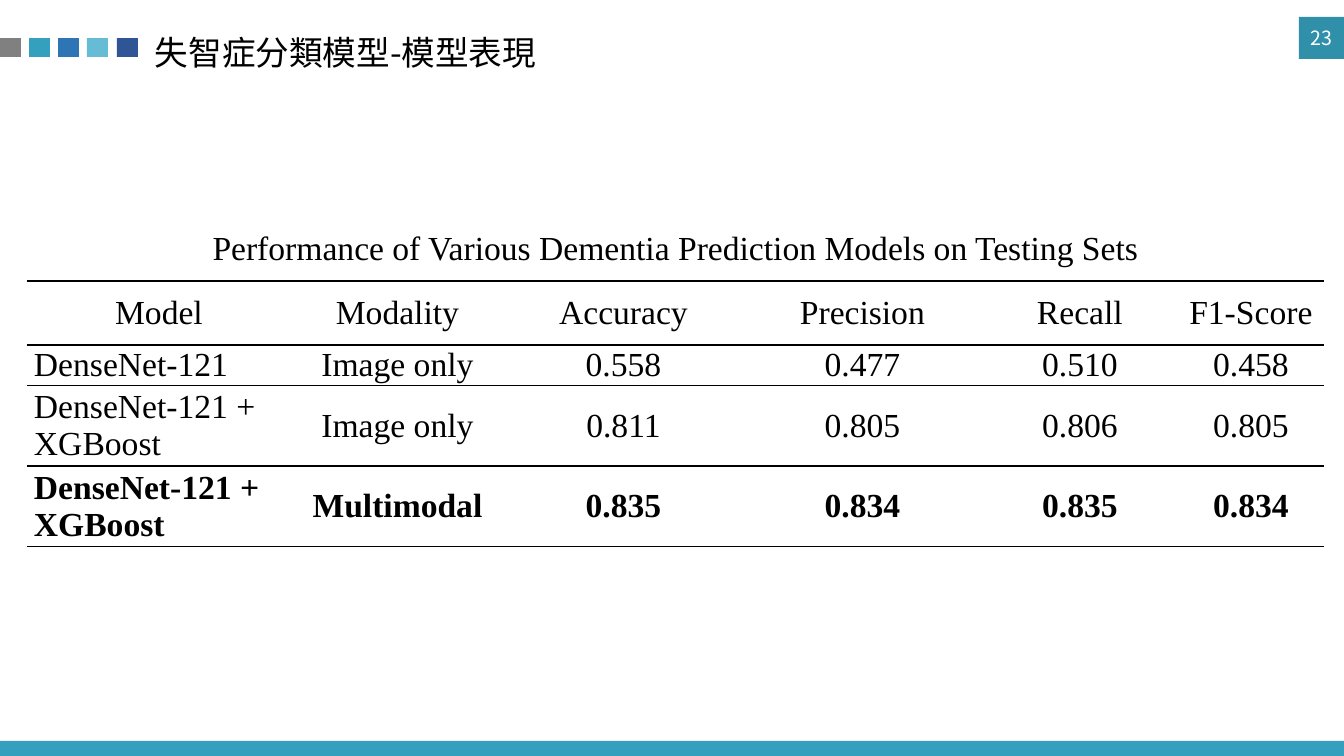
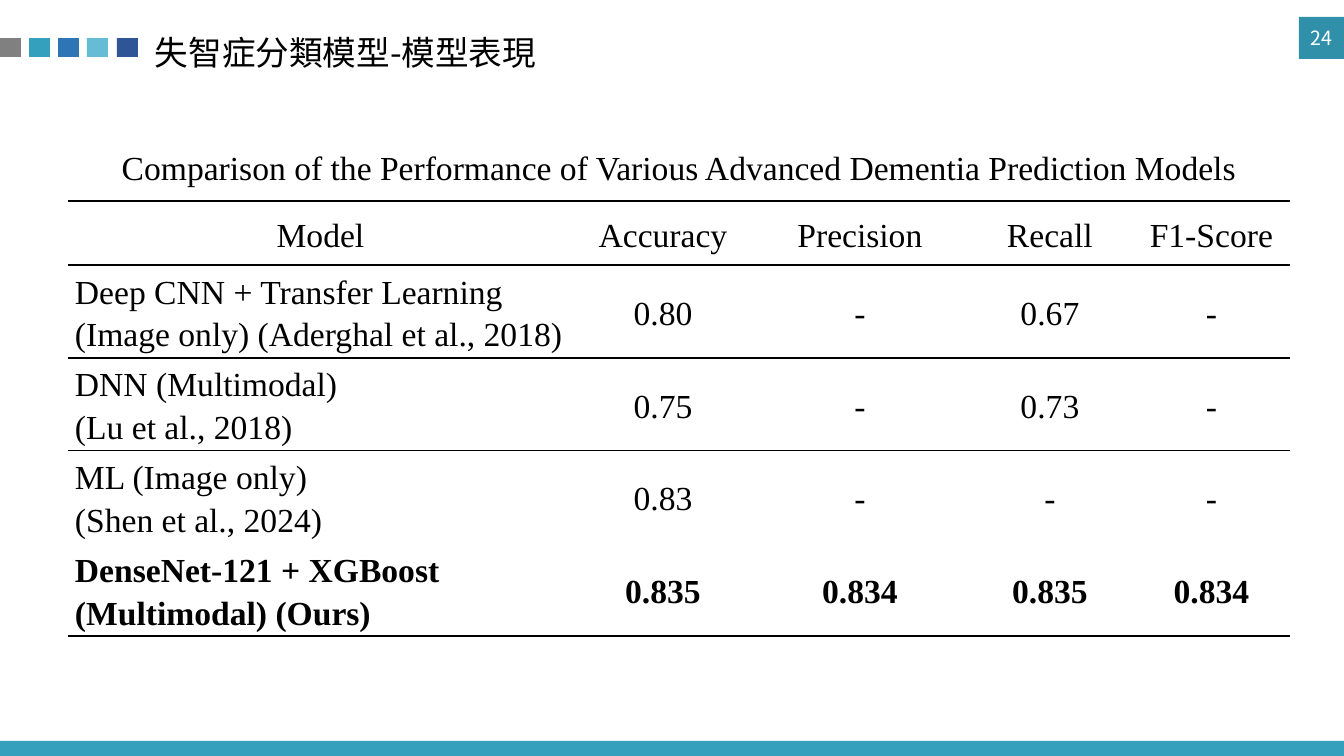
from lxml import etree
from pptx import Presentation, util as u
from pptx.dml.color import RGBColor
from pptx.enum import shapes, text
from pptx.oxml import ns

PX = 914400 / 100.8
SLIDE_W, SLIDE_H = 1344, 756

BLACK = RGBColor(0x00, 0x00, 0x00)
WHITE = RGBColor(0xFF, 0xFF, 0xFF)
GRAY = RGBColor(0x80, 0x80, 0x80)
TEAL = RGBColor(0x35, 0xA0, 0xBD)
DARK_TEAL = RGBColor(0x30, 0x90, 0xAA)
BLUE = RGBColor(0x2E, 0x75, 0xB6)
LIGHT_TEAL = RGBColor(0x66, 0xBC, 0xD4)
NAVY = RGBColor(0x2F, 0x55, 0x97)

SANS = "Noto Sans CJK SC"
SERIF = "Times New Roman"
PLAIN_TABLE_STYLE = "{2D5ABB26-0587-4C30-8999-92F81FD0307C}"

CENTER = text.PP_ALIGN.CENTER
LEFT = text.PP_ALIGN.LEFT
MIDDLE = text.MSO_ANCHOR.MIDDLE
TOP = text.MSO_ANCHOR.TOP


def emu(px):
    return u.Emu(round(px * PX))


class Deck:
    def __init__(self):
        self.prs = Presentation()
        self.prs.slide_width = emu(SLIDE_W)
        self.prs.slide_height = emu(SLIDE_H)
        self.slide = None

    def new_slide(self, title, number):
        """Start a slide with the shared band, squares, page tag and title."""
        self.slide = self.prs.slides.add_slide(self.prs.slide_layouts[6])
        self.block(0, 741, SLIDE_W, 15, TEAL)
        for i, color in enumerate((GRAY, TEAL, BLUE, LIGHT_TEAL, NAVY)):
            self.block(i * 117 // 4, 38, 21, 19, color)
        self.block(1299, 17, 45, 42, DARK_TEAL)
        self.label(1299, 28, 45, 27, number, 14, WHITE, u.Pt(12), CENTER, TOP)
        self.label(145, 17, 1145, 76, title, 24, BLACK, 0.9, LEFT, MIDDLE)

    def block(self, x, y, w, h, color):
        rect = self.slide.shapes.add_shape(
            shapes.MSO_SHAPE.RECTANGLE, emu(x), emu(y), emu(w), emu(h))
        rect.shadow.inherit = False
        rect.fill.solid()
        rect.fill.fore_color.rgb = color
        rect.line.fill.background()

    def label(self, x, y, w, h, words, size, color, spacing, align, anchor):
        frame = self.slide.shapes.add_textbox(
            emu(x), emu(y), emu(w), emu(h)).text_frame
        frame.word_wrap = True
        frame.vertical_anchor = anchor
        self.add_text(frame, words, SANS, size, color, spacing, align)

    def add_text(self, frame, words, font, size, color, spacing, align,
                 bold=False):
        """Fill a text frame, one paragraph for each line of words."""
        for i, line in enumerate(words.split("\n")):
            para = frame.add_paragraph() if i else frame.paragraphs[0]
            para.alignment = align
            para.line_spacing = spacing
            run = para.add_run()
            run.text = line
            run.font.name = font
            run.font.size = u.Pt(size)
            run.font.bold = bold
            run.font.color.rgb = color
            east_asian = etree.SubElement(run.font._element, ns.qn("a:ea"))
            east_asian.set("typeface", font)

    def table(self, x, y, widths, heights, caption, rows, rules, spacing):
        """Caption row over a header and data; the last row is bold.

        rules maps a row index to the width in points of the line below it.
        """
        grid = self.slide.shapes.add_table(
            len(heights), len(widths), emu(x), emu(y),
            emu(sum(widths)), emu(sum(heights))).table
        grid.first_row = grid.horz_banding = False
        grid._tbl.tblPr.find(ns.qn("a:tableStyleId")).text = PLAIN_TABLE_STYLE
        for column, width in zip(grid.columns, widths):
            column.width = emu(width)
        for row, height in zip(grid.rows, heights):
            row.height = emu(height)

        grid.cell(0, 0).merge(grid.cell(0, len(widths) - 1))
        last = len(heights) - 1
        for r, values in enumerate([[caption], *rows]):
            for c, value in enumerate(values):
                cell = grid.cell(r, c)
                cell.vertical_anchor = MIDDLE
                cell.margin_left = cell.margin_right = emu(7)
                cell.margin_top = cell.margin_bottom = 0
                self.add_text(cell.text_frame, value, SERIF, 24, BLACK,
                              spacing if r else 1.0,
                              LEFT if c == 0 and r > 1 else CENTER, r == last)
            for c in range(len(widths)):
                self.rule_cell(grid.cell(r, c), rules.get(r - 1), rules.get(r))

    def rule_cell(self, cell, above, below):
        cell.fill.background()
        props = cell._tc.get_or_add_tcPr()
        for tag, points in (("a:lnB", below), ("a:lnT", above)):
            if points:
                line = etree.Element(ns.qn(tag), w=str(u.Pt(points)))
                fill = etree.SubElement(line, ns.qn("a:solidFill"))
                etree.SubElement(fill, ns.qn("a:srgbClr"), val=str(BLACK))
                props.insert(0, line)


def main():
    deck = Deck()
    title = "失智症分類模型-模型表現"

    deck.new_slide(title, "23")
    deck.table(
        27, 217, [264, 213, 239, 239, 196, 146], [64, 64, 37, 75, 75],
        "Performance of Various Dementia Prediction Models on Testing Sets",
        [["Model", "Modality", "Accuracy", "Precision", "Recall", "F1-Score"],
         ["DenseNet-121", "Image only", "0.558", "0.477", "0.510", "0.458"],
         ["DenseNet-121 + XGBoost", "Image only",
          "0.811", "0.805", "0.806", "0.805"],
         ["DenseNet-121 + XGBoost", "Multimodal",
          "0.835", "0.834", "0.835", "0.834"]],
        {0: 1, 1: 1, 2: 1, 4: 1}, 1.0)

    deck.new_slide(title, "24")
    deck.table(
        68, 137, [505, 180, 214, 166, 157], [64, 64, 86, 85, 86, 85],
        "Comparison of the Performance of Various Advanced "
        "Dementia Prediction Models",
        [["Model", "Accuracy", "Precision", "Recall", "F1-Score"],
         ["Deep CNN + Transfer Learning (Image only) (Aderghal et al., 2018)",
          "0.80", "-", "0.67", "-"],
         ["DNN (Multimodal)\n(Lu et al., 2018)", "0.75", "-", "0.73", "-"],
         ["ML (Image only)\n(Shen et al., 2024)", "0.83", "-", "-", "-"],
         ["DenseNet-121 + XGBoost (Multimodal) (Ours)",
          "0.835", "0.834", "0.835", "0.834"]],
        {0: 1, 1: 1, 2: 1.5, 5: 1}, 1.15)

    deck.prs.save("out.pptx")


if __name__ == "__main__":
    main()
